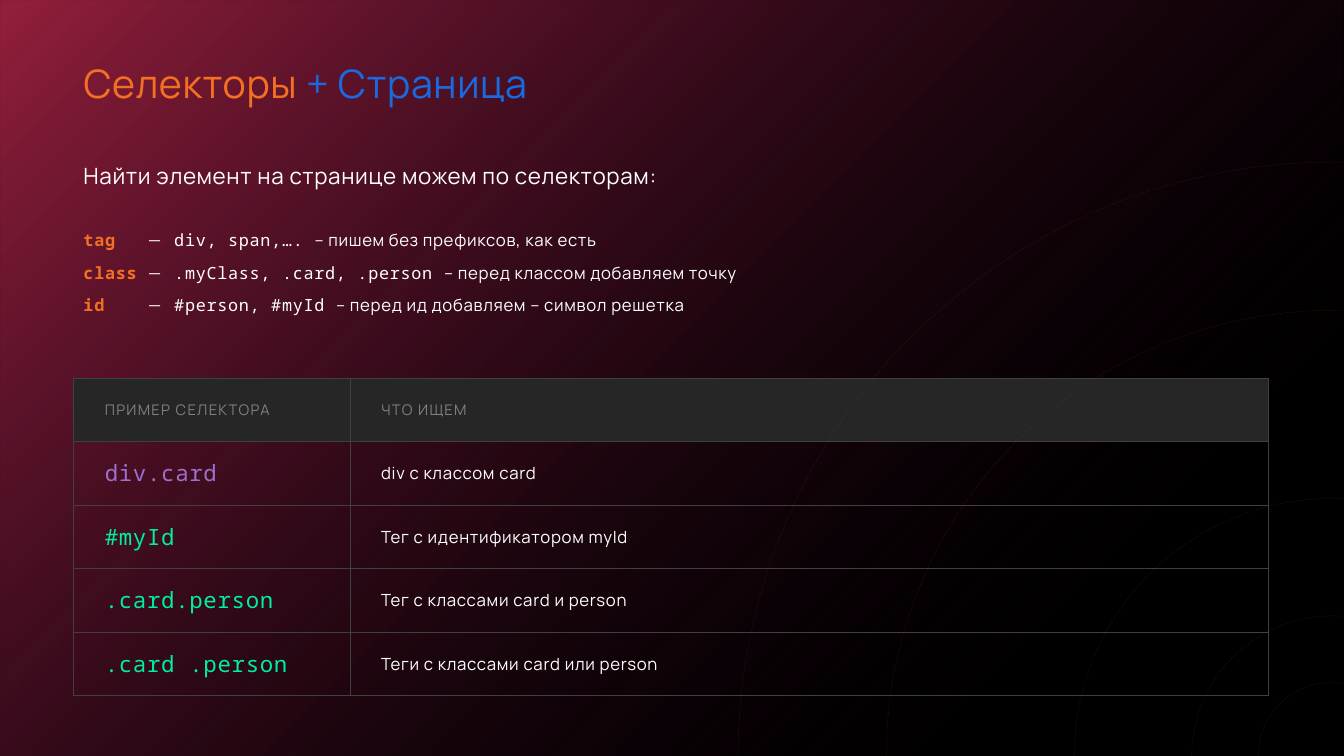
import pptx
import pptx.dml.color
import pptx.enum.dml
import pptx.enum.shapes
import pptx.enum.text
import pptx.oxml
import pptx.oxml.ns
import pptx.util

Inches = pptx.util.Inches
Pt = pptx.util.Pt
RGBColor = pptx.dml.color.RGBColor

BLACK = RGBColor(0x00, 0x00, 0x00)
WHITE = RGBColor(0xFF, 0xFF, 0xFF)
ORANGE = RGBColor(0xF3, 0x70, 0x22)
BLUE = RGBColor(0x1A, 0x69, 0xDF)
LILAC = RGBColor(0x9F, 0x6F, 0xCE)
GREEN = RGBColor(0x00, 0xEE, 0x9F)
GRAY = RGBColor(0x80, 0x80, 0x80)
HEADER_FILL = RGBColor(0x26, 0x26, 0x26)
BORDER = RGBColor(0x40, 0x40, 0x40)
VIOLET_GLOW = RGBColor(0x90, 0x00, 0xFF)
RED_GLOW = RGBColor(0xF8, 0x41, 0x14)
RING = RGBColor(0xB4, 0x53, 0x19)

SANS = "Manrope"
MONO = "Noto Sans Mono"
WIDTH, HEIGHT = 13.33, 7.5

SELECTOR_KINDS = [
    ("tag", "div, span,…. ", "– пишем без префиксов, как есть"),
    ("class", ".myClass, .card, .person ", "– перед классом добавляем точку"),
    ("id", "#person, #myId ", "– перед ид добавляем – символ решетка"),
]
TABLE_HEADER = ("ПРИМЕР СЕЛЕКТОРА", "ЧТО ИЩЕМ")
TABLE_ROWS = [
    ("div.card", LILAC, "div с классом card"),
    ("#myId", GREEN, "Тег с идентификатором myId"),
    (".card.person", GREEN, "Тег с классами card и person"),
    (".card .person", GREEN, "Теги с классами card или person"),
]


def drawing_element(xml):
    namespace = pptx.oxml.ns.nsdecls("a")
    return pptx.oxml.parse_xml(xml.replace(">", f" {namespace}>", 1))


def add_run(paragraph, text, font, size, color, bold=False, spacing=0.5):
    """Add a run; spacing is the letter spacing in points."""
    run = paragraph.add_run()
    run.text = text
    run.font.name = font
    run.font.size = Pt(size)
    run.font.bold = bold
    run.font.color.rgb = color
    run._r.get_or_add_rPr().set("spc", str(round(spacing * 100)))


def add_glow(slide, color, opacity):
    """Cover the slide with a colour fading out from the top left corner."""
    glow = slide.shapes.add_shape(
        pptx.enum.shapes.MSO_SHAPE.RECTANGLE, 0, 0, Inches(WIDTH), Inches(HEIGHT))
    glow.shadow.inherit = False
    glow.line.fill.background()
    glow.fill.background()
    properties = glow._element.spPr
    gradient = drawing_element(
        '<a:gradFill><a:gsLst>'
        f'<a:gs pos="0"><a:srgbClr val="{color}"><a:alpha val="{opacity * 1000}"/></a:srgbClr></a:gs>'
        f'<a:gs pos="89000"><a:srgbClr val="{BLACK}"><a:alpha val="0"/></a:srgbClr></a:gs>'
        '</a:gsLst><a:path path="circle"><a:fillToRect r="100000" b="100000"/></a:path></a:gradFill>')
    properties.replace(properties.find(pptx.oxml.ns.qn("a:noFill")), gradient)


def add_text_box(slide, left, top, width, height, wrap):
    box = slide.shapes.add_textbox(Inches(left), Inches(top), Inches(width), Inches(height))
    box.text_frame.word_wrap = wrap
    box.text_frame.auto_size = pptx.enum.text.MSO_AUTO_SIZE.SHAPE_TO_FIT_TEXT
    return box.text_frame


def add_title(slide, left, top, width, height):
    paragraph = add_text_box(slide, left, top, width, height, False).paragraphs[0]
    paragraph.line_spacing = 0.9
    add_run(paragraph, "Селекторы ", SANS, 28, ORANGE)
    add_run(paragraph, "+ Страница", SANS, 28, BLUE)


def add_selector_kinds(slide, left, top, width, height):
    text_frame = add_text_box(slide, left, top, width, height, True)
    heading = text_frame.paragraphs[0]
    heading.line_spacing = 1.2
    heading.space_after = Pt(20)
    add_run(heading, "Найти элемент на странице можем по селекторам:", SANS, 16, WHITE)
    for kind, examples, meaning in SELECTOR_KINDS:
        paragraph = text_frame.add_paragraph()
        stops = "".join(f'<a:tab pos="{Inches(stop)}" algn="l"/>' for stop in (0.64, 0.9))
        paragraph._p.get_or_add_pPr().append(
            drawing_element(f"<a:tabLst>{stops}</a:tabLst>"))
        paragraph.line_spacing = 1.2
        paragraph.space_before = Pt(6)
        add_run(paragraph, kind + "\t", MONO, 12, ORANGE, bold=True)
        add_run(paragraph, "—\t", SANS, 12, WHITE)
        add_run(paragraph, examples, MONO, 12, WHITE)
        add_run(paragraph, meaning, SANS, 12, WHITE)


def fill_cell(cell, text, font, size, color, fill=None, spacing=0.5):
    cell.vertical_anchor = pptx.enum.text.MSO_ANCHOR.MIDDLE
    cell.margin_left, cell.margin_right = Inches(0.31), Inches(0.2)
    cell.margin_top = cell.margin_bottom = Inches(0.05)
    add_run(cell.text_frame.paragraphs[0], text, font, size, color, spacing=spacing)
    if fill is None:
        cell.fill.background()
    else:
        cell.fill.solid()
        cell.fill.fore_color.rgb = fill
    for index, side in enumerate("LRTB"):
        cell._tc.get_or_add_tcPr().insert(index, drawing_element(
            f'<a:ln{side} w="{Pt(0.5)}"><a:solidFill><a:srgbClr val="{BORDER}"/>'
            f'</a:solidFill></a:ln{side}>'))


def add_selector_table(slide, left, top, width, height):
    first_width = 2.74
    table = slide.shapes.add_table(
        len(TABLE_ROWS) + 1, 2, Inches(left), Inches(top), Inches(width), Inches(height)).table
    table.first_row = table.horz_banding = False
    table.columns[0].width = Inches(first_width)
    table.columns[1].width = Inches(width - first_width)
    for column, caption in enumerate(TABLE_HEADER):
        fill_cell(table.cell(0, column), caption, SANS, 10.5, GRAY, HEADER_FILL, 1)
    for row, (selector, color, meaning) in enumerate(TABLE_ROWS, 1):
        fill_cell(table.cell(row, 0), selector, MONO, 16, color)
        fill_cell(table.cell(row, 1), meaning, SANS, 12, WHITE)


def add_rings(slide, center_x, center_y, diameters):
    group = slide.shapes.add_group_shape()
    for diameter in diameters:
        ring = group.shapes.add_shape(
            pptx.enum.shapes.MSO_SHAPE.OVAL,
            Inches(center_x - diameter / 2), Inches(center_y - diameter / 2),
            Inches(diameter), Inches(diameter))
        ring.shadow.inherit = False
        ring.fill.background()
        ring.line.width = Pt(0.25)
        ring.line.color.rgb = RING
        ring.line.dash_style = pptx.enum.dml.MSO_LINE.DASH
        color = ring.line._ln.find(".//" + pptx.oxml.ns.qn("a:srgbClr"))
        color.append(drawing_element('<a:alpha val="28000"></a:alpha>'))


def add_selectors_slide(presentation):
    slide = presentation.slides.add_slide(presentation.slide_layouts[6])
    slide.background.fill.solid()
    slide.background.fill.fore_color.rgb = BLACK
    add_glow(slide, VIOLET_GLOW, 37)
    add_glow(slide, RED_GLOW, 48)
    add_title(slide, 0.73, 0.59, 4.92, 0.53)
    add_selector_table(slide, 0.73, 3.75, 11.85, 3.15)
    add_selector_kinds(slide, 0.73, 1.51, 8.06, 1.71)
    add_rings(slide, 13.21, HEIGHT, (1.46, 2.78, 5.11, 8.84, 11.78))


def main():
    presentation = pptx.Presentation()
    presentation.slide_width = Inches(WIDTH)
    presentation.slide_height = Inches(HEIGHT)
    add_selectors_slide(presentation)
    presentation.save("out.pptx")


if __name__ == "__main__":
    main()
